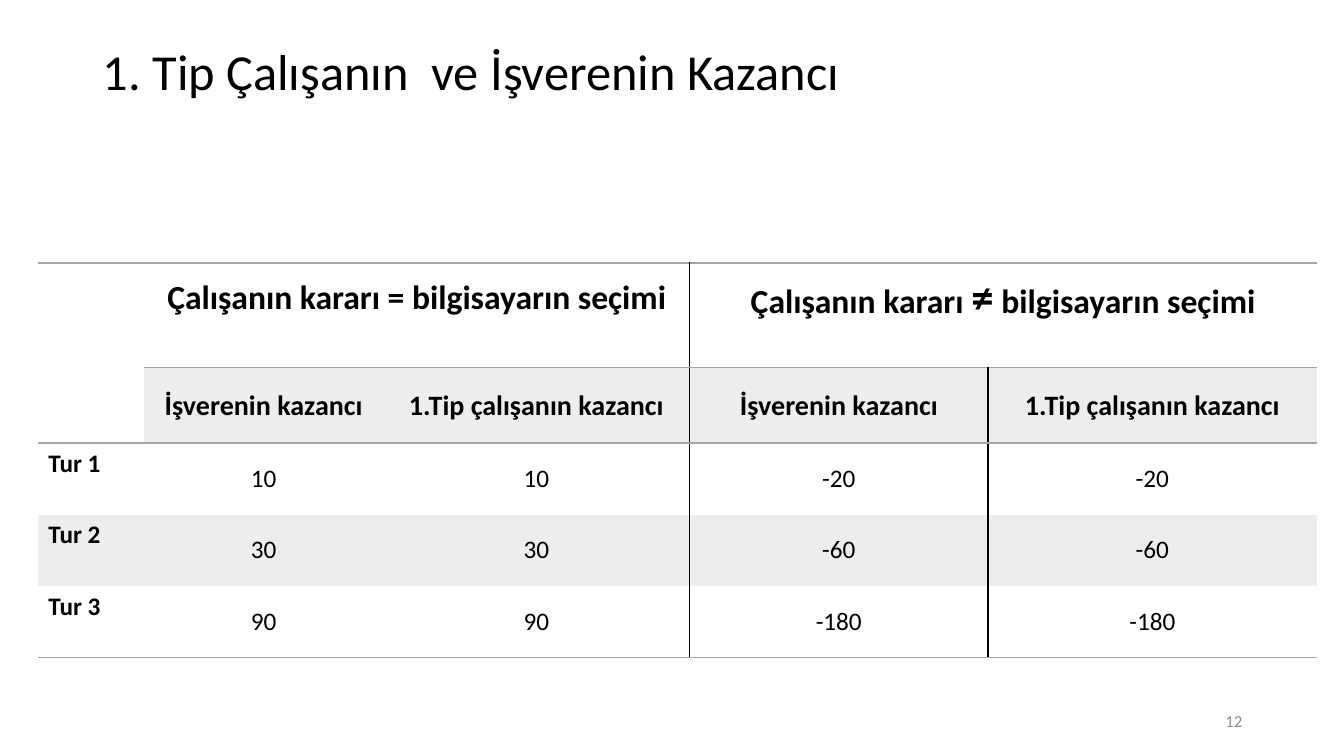
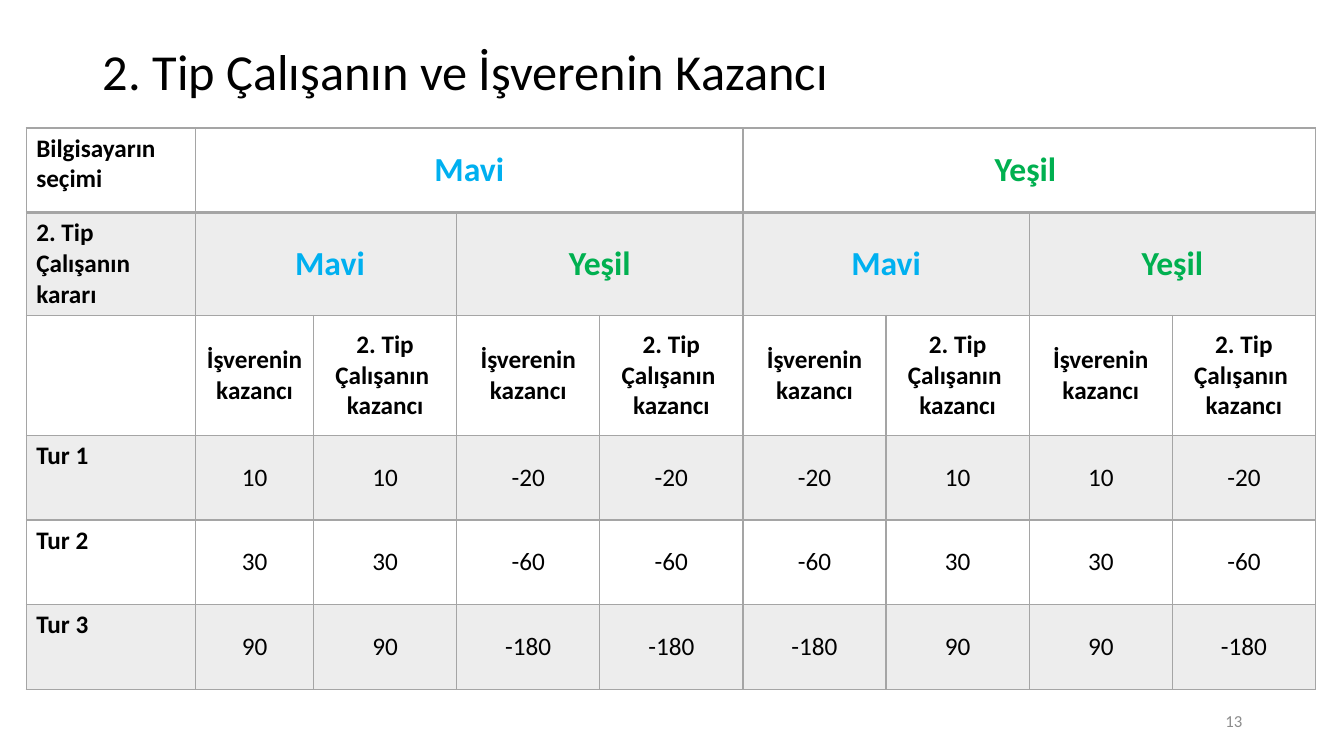
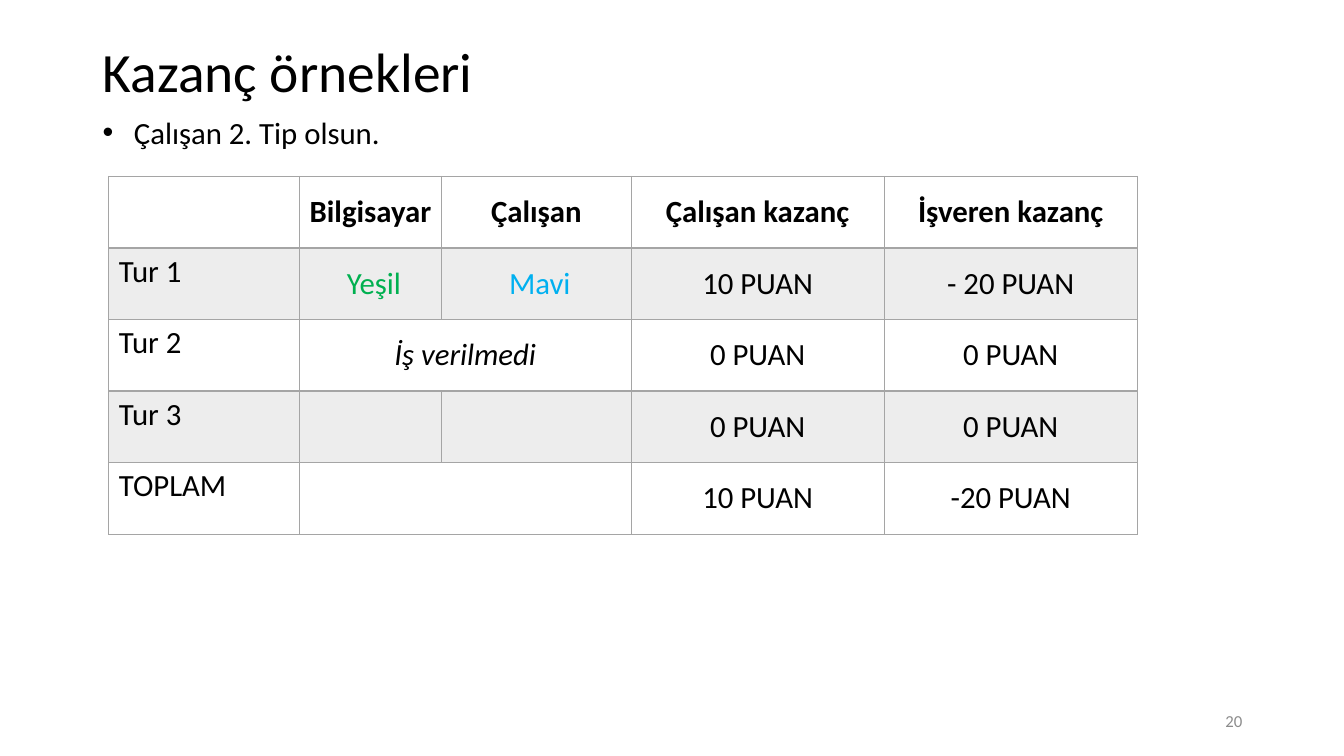
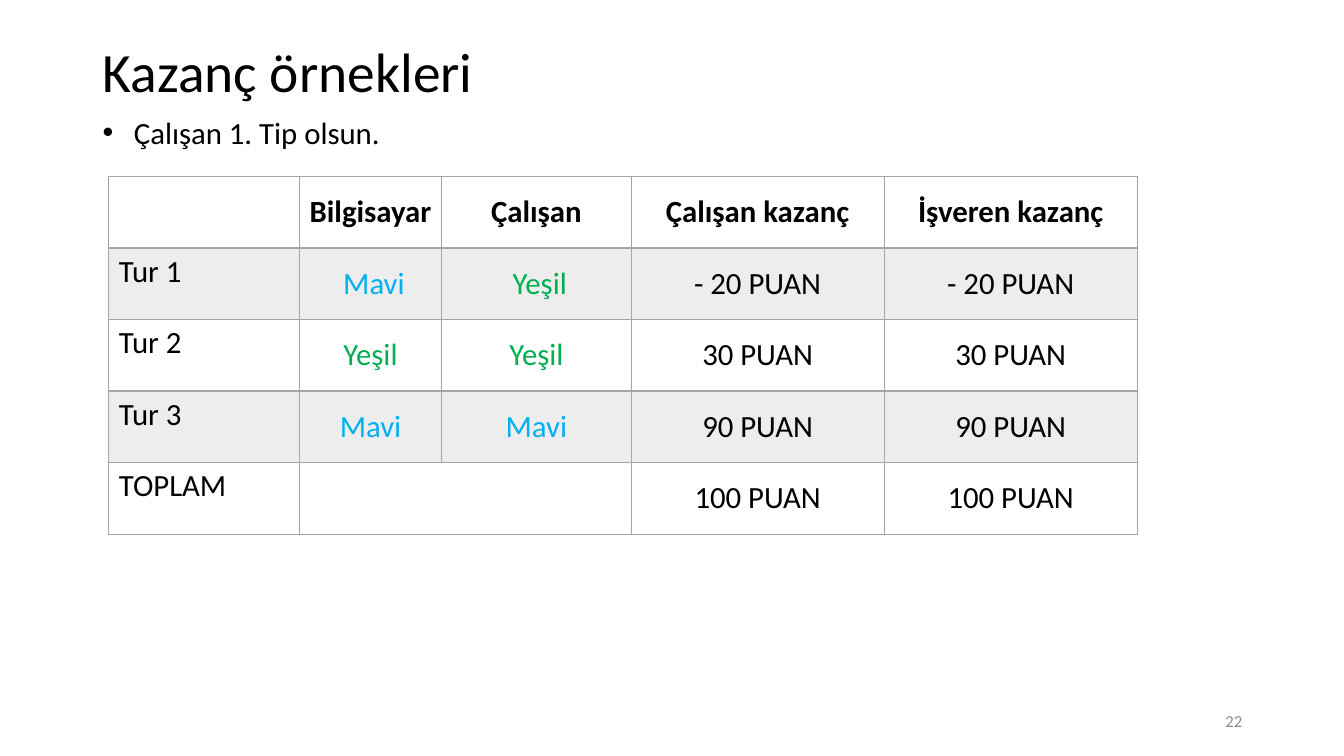
"""Build four slides of payoff tables for the employer and employee game."""
from collections.abc import Callable
from dataclasses import dataclass

from lxml import etree
from pptx import Presentation
from pptx.dml.color import RGBColor
from pptx.enum.text import MSO_ANCHOR, MSO_AUTO_SIZE, PP_ALIGN
from pptx.oxml.ns import qn
from pptx.presentation import Presentation as Deck
from pptx.slide import Slide
from pptx.table import _Cell
from pptx.text.text import _Run
from pptx.util import Inches, Pt

MIDDLE, TOP = MSO_ANCHOR.MIDDLE, MSO_ANCHOR.TOP
LEFT, CENTER, RIGHT = PP_ALIGN.LEFT, PP_ALIGN.CENTER, PP_ALIGN.RIGHT
NO_AUTO_SIZE = MSO_AUTO_SIZE.NONE
TITLE_ONLY = 5
FONT = "Calibri"
PLAIN_TABLE_STYLE = "{2D5ABB26-0587-4C30-8999-92F81FD0307C}"
COLORS = {
    "text": "000000",
    "line": "A5A5A5",
    "shade": "EDEDED",
    "number": "8C8C8C",
    "blue": "00B0F0",
    "green": "00B050",
}
CHOICE_COLORS = {"Mavi": "blue", "Yeşil": "green"}
UNEQUAL = "≠"

Edges = dict[str, tuple[str, float]]


@dataclass(frozen=True)
class Merge:
    """A block of cells joined into one."""
    row: int
    column: int
    rows: int
    columns: int


@dataclass(frozen=True)
class Grid:
    """A payoff table and the rules that format it."""
    left: float
    top: float
    widths: list[float]
    heights: list[float]
    texts: list[list[str]]
    merges: list[Merge]
    sizes: list[float]
    label_size: float
    header_rows: int
    bold_labels: bool
    edges: Callable[[int, int], Edges]
    italic_text: str = ""
    header_lift: float = 0


@dataclass(frozen=True)
class Page:
    """The content of one slide."""
    title: str
    title_size: float
    number: int
    grid: Grid
    bullet: str = ""


def boxed_edges(row: int, column: int) -> Edges:
    """Frame every cell, with a heavier line below the first row."""
    edges = {side: ("line", 1) for side in "LRTB"}
    if row == 0:
        edges["B"] = ("line", 2)
    return edges


def open_edges(row: int, column: int) -> Edges:
    """Rule the header and foot, and divide the right-hand columns."""
    edges: Edges = {}
    if column == 3 or (column == 4 and row > 0):
        edges["L"] = ("text", 1)
    if column == 2 or (column == 1 and row == 0) or (column == 3 and row > 0):
        edges["R"] = ("text", 1)
    if row == 0 or (row == 1 and column > 0):
        edges["T"] = ("line", 1)
    if row in (0, 4):
        edges["B"] = ("line", 1)
    return edges


def rgb(name: str) -> RGBColor:
    """Return a named colour."""
    return RGBColor.from_string(COLORS[name])


def style_run(span: _Run, size: float, color: str = "text",
              bold: bool = False, italic: bool = False) -> None:
    """Format one run."""
    font = span.font
    font.name, font.size = FONT, Pt(size)
    font.bold, font.italic = bold, italic
    font.color.rgb = rgb(color)


def draw_edges(cell: _Cell, edges: Edges) -> None:
    """Add the border lines of one cell."""
    properties = cell._tc.get_or_add_tcPr()
    for side in "LRTB":
        if side in edges:
            color, width = edges[side]
            line = etree.SubElement(properties, qn(f"a:ln{side}"), w=str(Pt(width)))
            fill = etree.SubElement(line, qn("a:solidFill"))
            etree.SubElement(fill, qn("a:srgbClr"), val=COLORS[color])


def fill_cell(cell: _Cell, grid: Grid, row: int, column: int) -> None:
    """Write and format one cell."""
    text = grid.texts[row][column]
    is_label = column == 0
    draw_edges(cell, grid.edges(row, column))
    if row % 2:
        cell.fill.solid()
        cell.fill.fore_color.rgb = rgb("shade")
    else:
        cell.fill.background()
    cell.vertical_anchor = TOP if is_label else MIDDLE
    if row == 0 and grid.header_lift:
        cell.margin_bottom = Inches(0.05 + grid.header_lift)
    if not text:
        return
    para = cell.text_frame.paragraphs[0]
    para.alignment = LEFT if is_label else CENTER
    size = grid.label_size if is_label else grid.sizes[row]
    bold = row < grid.header_rows or (is_label and grid.bold_labels)
    color = CHOICE_COLORS.get(text.strip(), "text")
    for part in filter(None, text.partition(UNEQUAL)):
        span = para.add_run()
        span.text = part
        style_run(span, 32 if part == UNEQUAL else size, color, bold,
                  text == grid.italic_text)


def add_grid(page: Slide, grid: Grid) -> None:
    """Draw a payoff table."""
    frame = page.shapes.add_table(
        len(grid.heights), len(grid.widths), Inches(grid.left), Inches(grid.top),
        Inches(sum(grid.widths)), Inches(sum(grid.heights)))
    for style in frame.element.iter(qn("a:tableStyleId")):
        style.text = PLAIN_TABLE_STYLE
    table = frame.table
    table.first_row = table.horz_banding = False
    for column, width in zip(table.columns, grid.widths):
        column.width = Inches(width)
    for row, height in zip(table.rows, grid.heights):
        row.height = Inches(height)
    for merge in grid.merges:
        last = table.cell(merge.row + merge.rows - 1, merge.column + merge.columns - 1)
        table.cell(merge.row, merge.column).merge(last)
    for row in range(len(grid.heights)):
        for column in range(len(grid.widths)):
            cell = table.cell(row, column)
            if not cell.is_spanned:
                fill_cell(cell, grid, row, column)


def add_title(page: Slide, text: str, size: float) -> None:
    """Place and format the title placeholder."""
    title = page.shapes.title
    title.left, title.top = Inches(0.92), Inches(0.4)
    title.width, title.height = Inches(11.5), Inches(0.68)
    frame = title.text_frame
    frame.text = text
    frame.word_wrap, frame.auto_size = True, NO_AUTO_SIZE
    frame.vertical_anchor = MIDDLE
    para = frame.paragraphs[0]
    para.alignment, para.line_spacing = LEFT, 0.9
    style_run(para.runs[0], size)


def add_number(page: Slide, number: int) -> None:
    """Write the page number at the lower right."""
    box = page.shapes.add_textbox(Inches(9.42), Inches(6.95), Inches(3), Inches(0.4))
    frame = box.text_frame
    frame.text = str(number)
    frame.word_wrap, frame.vertical_anchor = True, MIDDLE
    para = frame.paragraphs[0]
    para.alignment = RIGHT
    style_run(para.runs[0], 12, "number")


def add_bullet(page: Slide, text: str) -> None:
    """Write the bulleted line below the title."""
    box = page.shapes.add_textbox(Inches(0.92), Inches(1.08), Inches(11.5), Inches(0.47))
    frame = box.text_frame
    frame.text = text
    frame.word_wrap = True
    para = frame.paragraphs[0]
    style_run(para.runs[0], 22)
    properties = para._p.get_or_add_pPr()
    properties.set("marL", str(Inches(0.31)))
    properties.set("indent", str(Inches(-0.31)))
    etree.SubElement(properties, qn("a:buFont"), typeface="Arial")
    etree.SubElement(properties, qn("a:buChar"), char="•")


def add_page(deck: Deck, content: Page) -> None:
    """Add one slide."""
    page = deck.slides.add_slide(deck.slide_layouts[TITLE_ONLY])
    add_grid(page, content.grid)
    add_title(page, content.title, content.title_size)
    if content.bullet:
        add_bullet(page, content.bullet)
    add_number(page, content.number)


def first_type_grid() -> Grid:
    """Return the payoffs of the first employee type."""
    pair = ["İşverenin kazancı", "1.Tip çalışanın kazancı"]
    rounds = [[f"Tur {turn}", gain, gain, loss, loss] for turn, gain, loss in
              [(1, "10", "-20"), (2, "30", "-60"), (3, "90", "-180")]]
    return Grid(
        left=0.38, top=2.61,
        widths=[1.05, 2.37, 3.04, 2.96, 3.26], heights=[1.04, 0.65] + [0.71] * 3,
        texts=[["", "Çalışanın kararı = bilgisayarın seçimi", "",
                f"Çalışanın kararı {UNEQUAL} bilgisayarın seçimi", ""],
               [""] + pair * 2, *rounds],
        merges=[Merge(0, 0, 2, 1), Merge(0, 1, 1, 2), Merge(0, 3, 1, 2)],
        sizes=[24, 20, 18, 18, 18], label_size=18,
        header_rows=2, bold_labels=True, edges=open_edges, header_lift=0.34)


def second_type_grid() -> Grid:
    """Return the payoffs of the second employee type."""
    pair = ["İşverenin kazancı", "2. Tip Çalışanın  kazancı"]
    rounds = [[f"Tur {turn}", gain, gain, loss, loss, loss, gain, gain, loss]
              for turn, gain, loss in
              [(1, "10", "-20"), (2, "30", "-60"), (3, "90", "-180")]]
    return Grid(
        left=0.26, top=1.27,
        widths=[1.68, 1.17] + [1.42] * 7, heights=[0.84, 1.02, 1.19] + [0.84] * 3,
        texts=[["Bilgisayarın seçimi", " Mavi ", "", "", "", "Yeşil ", "", "", ""],
               ["2. Tip Çalışanın kararı", " Mavi", "", "Yeşil", "", "Mavi", "", "Yeşil", ""],
               [""] + pair * 4, *rounds],
        merges=[Merge(0, column, 1, 4) for column in (1, 5)]
        + [Merge(1, column, 1, 2) for column in (1, 3, 5, 7)],
        sizes=[24, 24, 18, 18, 18, 18], label_size=18,
        header_rows=3, bold_labels=True, edges=boxed_edges)


def example_grid(results: list[list[str]], merged_rows: list[int]) -> Grid:
    """Return a worked example with one row per round and a total."""
    labels = ["Tur 1", "Tur 2", "Tur 3", "TOPLAM"]
    header = ["", "Bilgisayar", "Çalışan", "Çalışan kazanç", "İşveren kazanç"]
    return Grid(
        left=1.08, top=1.75,
        widths=[1.89, 1.41, 1.88, 2.51, 2.51], heights=[0.71] * 5,
        texts=[header] + [[label, *result] for label, result in zip(labels, results)],
        merges=[Merge(row, 1, 1, 2) for row in merged_rows],
        sizes=[22] * 5, label_size=22, header_rows=1, bold_labels=False,
        edges=boxed_edges, italic_text="İş verilmedi")


def main() -> None:
    """Build and save the deck."""
    deck = Presentation()
    deck.slide_width, deck.slide_height = Inches(13.33), Inches(7.5)
    second_example = example_grid([
        [" Yeşil", " Mavi", "10 PUAN", "- 20 PUAN"],
        ["İş verilmedi", "", "0 PUAN", "0 PUAN"],
        ["", "", "0 PUAN", "0 PUAN"],
        ["", "", "10 PUAN", "-20 PUAN"],
    ], [2, 4])
    first_example = example_grid([
        [" Mavi", " Yeşil", "- 20 PUAN", "- 20 PUAN"],
        ["Yeşil", "Yeşil", "30 PUAN", "30 PUAN"],
        ["Mavi", "Mavi", "90 PUAN", "90 PUAN"],
        ["", "", "100 PUAN", "100 PUAN"],
    ], [4])
    pages = [
        Page("1. Tip Çalışanın  ve İşverenin Kazancı", 36, 12, first_type_grid()),
        Page("2. Tip Çalışanın ve İşverenin Kazancı", 36, 13, second_type_grid()),
        Page("Kazanç örnekleri", 39.6, 20, second_example, "Çalışan 2. Tip olsun."),
        Page("Kazanç örnekleri", 39.6, 22, first_example, "Çalışan 1. Tip olsun."),
    ]
    for content in pages:
        add_page(deck, content)
    deck.save("out.pptx")


if __name__ == "__main__":
    main()
